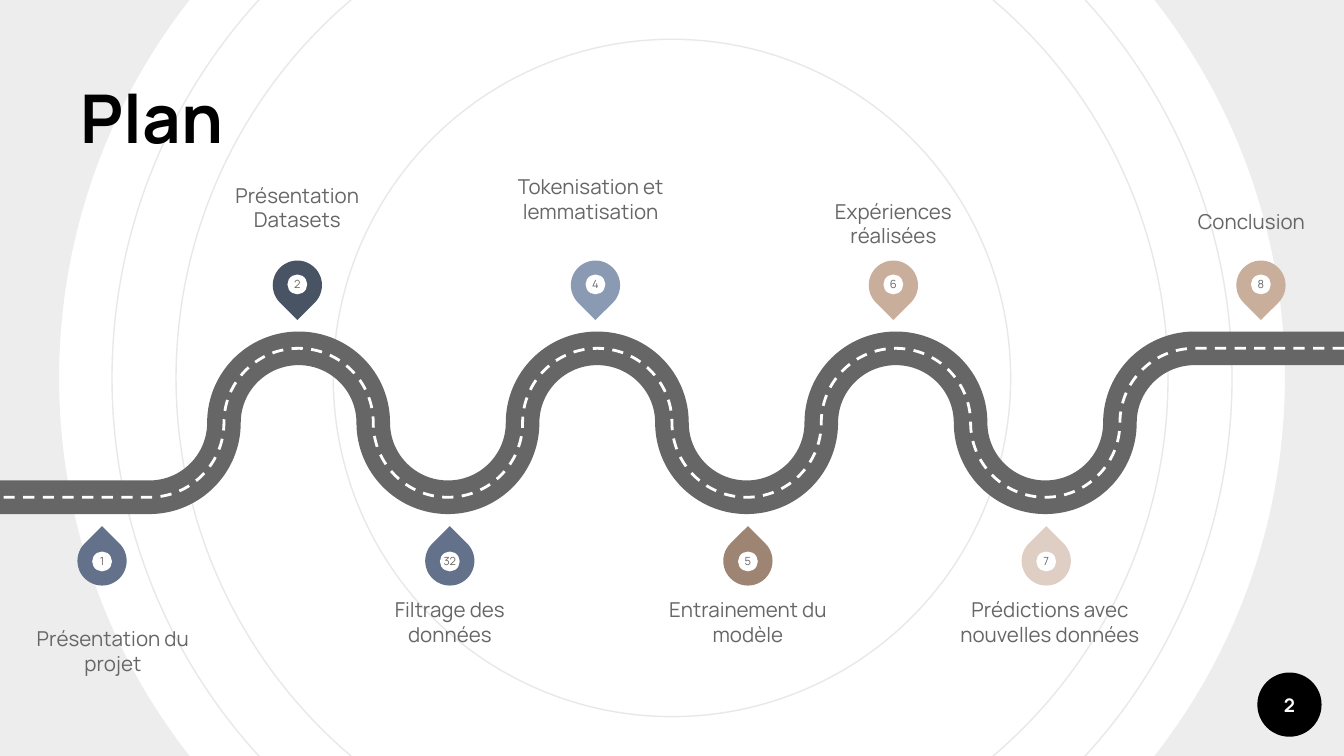
"""Build the roadmap slide "Plan" with eight numbered stages along a winding road."""
from lxml import etree
from pptx import Presentation
from pptx.dml.color import RGBColor
from pptx.enum import dml, shapes, text
from pptx.oxml import ns
from pptx.util import Pt

FONT = "Manrope"
GREY, WHITE, BLACK, RING = "666666", "FFFFFF", "000000", "E8E8E8"
SHAPE, ANCHOR, ALIGN = shapes.MSO_SHAPE, text.MSO_ANCHOR, text.PP_ALIGN

WIDTH, HEIGHT = 720, 405
RING_SIZES = [600, 531.4, 362.9]
DONUT_SIZE = 831.2
ROAD_TOP, ROAD_MIDDLE, ROAD_BOTTOM = 186.6, 226.5, 266.4
BEND, CURVE = 40, 0.5523
PIN_SIZE, DISC_SIZE = 26.4, 10.6
LABEL_WIDTH, LABEL_HEIGHT = 101.5, 41.8

# number, pin colour, pin centre, above road, label, label centre, label top, anchor
STAGES = [
    ("1", "63728A", 54.7, False, "Présentation du projet", 60.5, 320, ANCHOR.BOTTOM),
    ("2", "485364", 159.3, True, "Présentation Datasets", 159.3, 97.9, ANCHOR.TOP),
    ("32", "63728A", 241, False, "Filtrage des données", 241, 320, ANCHOR.TOP),
    ("4", "8B9AB3", 319, True, "Tokenisation et lemmatisation", 316.5, 91, ANCHOR.BOTTOM),
    ("5", "9E8473", 400.7, False, "Entrainement du modèle", 400.7, 320, ANCHOR.TOP),
    ("6", "CAAE9C", 478.6, True, "Expériences réalisées", 478.6, 91, ANCHOR.BOTTOM),
    ("7", "DFCEC3", 560.5, False, "Prédictions avec nouvelles données", 562.5, 320, ANCHOR.TOP),
    ("8", "CAAE9C", 675.5, True, "Conclusion", 670.4, 112, ANCHOR.TOP),
]
WIDE_LABELS = {"7": 117.4}
RAISED_LABELS = {"4": 13.2}


def paint(target, colour):
    target.solid()
    target.fore_color.rgb = RGBColor.from_string(colour)


def add_round(parent, kind, x, y, size, fill=None, line=None):
    shape = parent.add_shape(kind, Pt(x - size / 2), Pt(y - size / 2), Pt(size), Pt(size))
    shape.shadow.inherit = False
    if fill:
        paint(shape.fill, fill)
    else:
        shape.fill.background()
    if line:
        paint(shape.line.fill, line)
        shape.line.width = Pt(0.75)
    else:
        shape.line.fill.background()
    return shape


def write(shape, words, size, colour, anchor=ANCHOR.MIDDLE, align=ALIGN.CENTER,
          inset=0, bold=False, wrap=True):
    frame = shape.text_frame
    frame.word_wrap = wrap
    frame.vertical_anchor = anchor
    frame.margin_left = frame.margin_right = Pt(inset)
    frame.margin_top = frame.margin_bottom = Pt(inset)
    para = frame.paragraphs[0]
    para.text = words
    para.alignment = align
    para.font.name, para.font.size, para.font.bold = FONT, Pt(size), bold
    paint(para.font.fill, colour)


def road_points():
    heights = [ROAD_TOP, ROAD_MIDDLE, ROAD_BOTTOM, ROAD_MIDDLE]
    bends = [(640 - BEND * step, heights[step % 4]) for step in range(15)]
    return [(WIDTH, ROAD_TOP), *bends, (0, ROAD_BOTTOM)]


def add_road(slide, colour, width, dash=None):
    points = [(Pt(x), Pt(y)) for x, y in road_points()]
    builder = slide.shapes.build_freeform(*points[0])
    builder.add_line_segments(points[1:], close=False)
    road = builder.convert_to_shape()
    lines = list(road.element.iter(ns.qn("a:lnTo")))
    for index, line in enumerate(lines[1:-1]):
        (x1, y1), (x2, y2) = points[index + 1:index + 3]
        dx, dy = CURVE * (x2 - x1), CURVE * (y2 - y1)
        if index % 2:
            controls = [(x1, y1 + dy), (x2 - dx, y2)]
        else:
            controls = [(x1 + dx, y1), (x2, y2 - dy)]
        line.tag = ns.qn("a:cubicBezTo")
        for place, (x, y) in enumerate(controls):
            point = etree.Element(ns.qn("a:pt"), x=str(round(x)), y=str(round(y - Pt(ROAD_TOP))))
            line.insert(place, point)
    road.shadow.inherit = False
    road.fill.background()
    paint(road.line.fill, colour)
    road.line.width = Pt(width)
    if dash:
        road.line.dash_style = dash


def add_stage(slide, number, colour, x, above, label, label_x, top, anchor):
    group = slide.shapes.add_group_shape().shapes
    y = 152.8 if above else 300.5
    pin = add_round(group, SHAPE.TEAR, x, y, PIN_SIZE, colour)
    pin.rotation = 135 if above else 315
    disc = add_round(group, SHAPE.OVAL, x, y - 0.4 if above else y + 0.3, DISC_SIZE, WHITE)
    write(disc, number, 6, GREY, wrap=False)
    width = WIDE_LABELS.get(number, LABEL_WIDTH)
    box = slide.shapes.add_textbox(Pt(label_x - width / 2), Pt(top), Pt(width), Pt(LABEL_HEIGHT))
    write(box, label, 11, GREY, anchor)
    box.text_frame.margin_bottom = Pt(RAISED_LABELS.get(number, 0))


def main():
    deck = Presentation()
    deck.slide_width, deck.slide_height = Pt(WIDTH), Pt(HEIGHT)
    slide = deck.slides.add_slide(deck.slide_layouts[5])
    paint(slide.background.fill, WHITE)

    for size in RING_SIZES:
        add_round(slide.shapes, SHAPE.OVAL, WIDTH / 2, HEIGHT / 2, size, line=RING)
    donut = add_round(slide.shapes, SHAPE.DONUT, WIDTH / 2, HEIGHT / 2, DONUT_SIZE, BLACK)
    donut.adjustments[0] = 0.105
    tint = donut.element.find(".//" + ns.qn("a:srgbClr"))
    etree.SubElement(tint, ns.qn("a:alpha"), val="7000")
    badge = add_round(slide.shapes, SHAPE.OVAL, 690.8, 377.5, 34.4, BLACK)
    write(badge, "2", 10, WHITE, bold=True)

    title = slide.shapes.title
    badge.element.addnext(title.element)
    title.left, title.top, title.width, title.height = Pt(36), Pt(37.4), Pt(411), Pt(54)
    write(title, "Plan", 36, BLACK, ANCHOR.BOTTOM, ALIGN.LEFT, 7.2, True)

    add_road(slide, GREY, 18)
    add_road(slide, WHITE, 1.5, dml.MSO_LINE.DASH)
    for stage in STAGES:
        add_stage(slide, *stage)
    deck.save("out.pptx")


if __name__ == "__main__":
    main()
